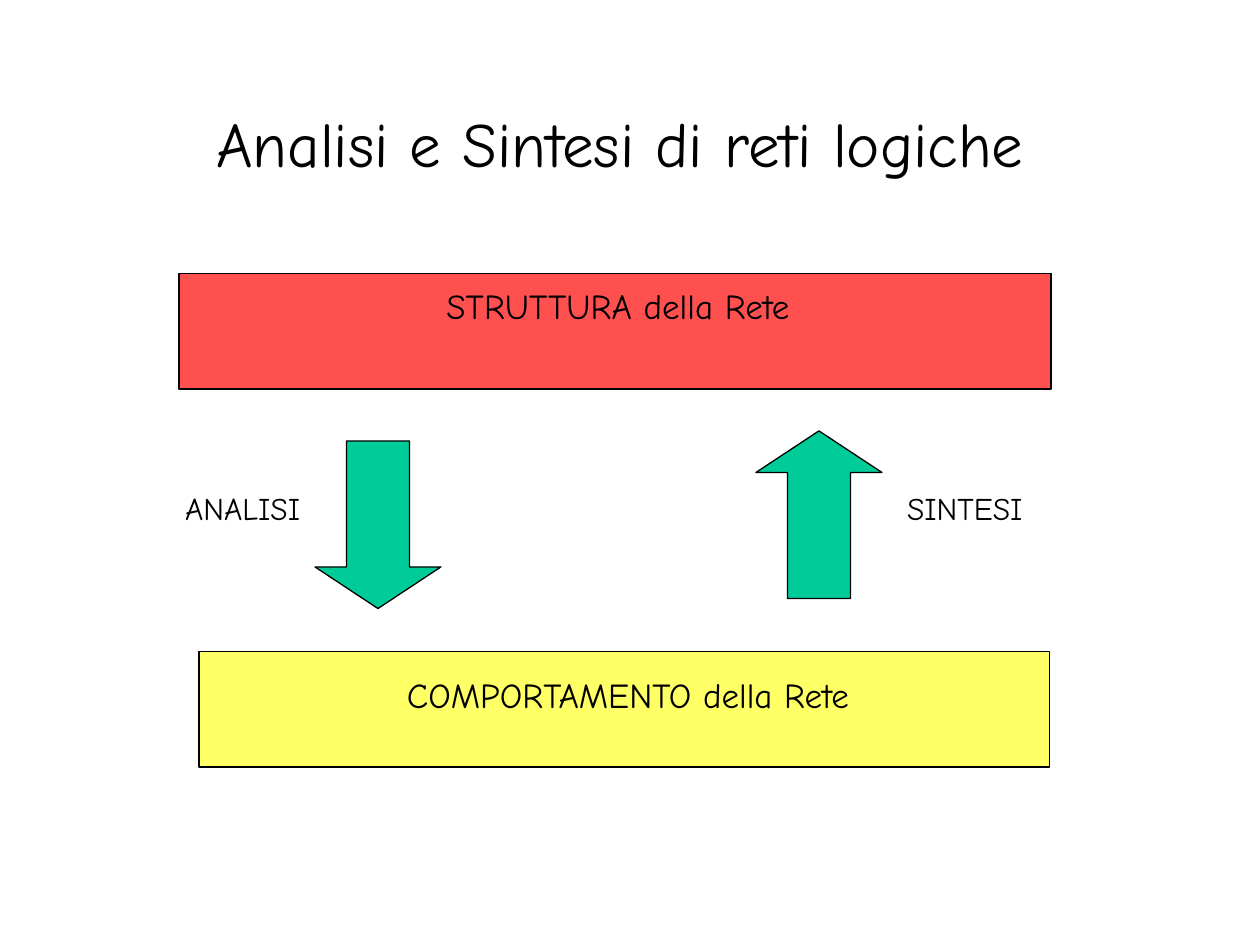
from pptx import Presentation
from pptx.dml.color import RGBColor
from pptx.enum.shapes import MSO_SHAPE
from pptx.enum.text import MSO_ANCHOR, PP_ALIGN
from pptx.util import Inches, Pt

FONT = "Comic Neue"
COLORS = {
    "black": "000000",
    "red": "FF5050",
    "yellow": "FFFF66",
    "green": "00CC99",
}


def rgb(name):
    return RGBColor.from_string(COLORS[name])


def set_text(shape, text, size, align=PP_ALIGN.CENTER, anchor=MSO_ANCHOR.TOP):
    tf = shape.text_frame
    tf.word_wrap = True
    tf.vertical_anchor = anchor
    p = tf.paragraphs[0]
    p.alignment = align
    r = p.add_run()
    r.text = text
    for name, value in {"name": FONT, "size": Pt(size)}.items():
        setattr(r.font, name, value)
    r.font.color.rgb = rgb("black")


def add_text(s, box, text, size, **layout):
    sp = s.shapes.add_textbox(*map(Inches, box))
    set_text(sp, text, size, **layout)


def add_label(s, left, text):
    add_text(s, (left, 3.83, 1.18, 0.4), text, 18, align=PP_ALIGN.LEFT)


def add_filled(s, kind, box, color, line_width=None):
    """Add a filled preset shape, outlined only when line_width is given."""
    sp = s.shapes.add_shape(kind, *map(Inches, box))
    sp.shadow.inherit = False
    sp.fill.solid()
    sp.fill.fore_color.rgb = rgb(color)
    if line_width is None:
        sp.line.fill.background()
    else:
        sp.line.color.rgb = rgb("black")
        sp.line.width = Pt(line_width)
    return sp


def add_panel(s, panel, caption, color, text):
    """Add an outlined bar with a caption strip of the same colour on it."""
    add_filled(s, MSO_SHAPE.RECTANGLE, panel, color, 1)
    strip = add_filled(s, MSO_SHAPE.RECTANGLE, caption, color)
    set_text(strip, text, 20)


def add_arrow(s, kind, left, top):
    sp = add_filled(s, kind, (left, top, 1, 1.33), "green", 0.75)
    sp.adjustments[0] = 0.5
    sp.adjustments[1] = 0.33


def main():
    prs = Presentation()
    prs.slide_width, prs.slide_height = Inches(10), Inches(7.5)
    s = prs.slides.add_slide(prs.slide_layouts[6])

    add_panel(s, (1.58, 5.17, 6.75, 0.92), (1.65, 5.3, 6.67, 0.43),
              "yellow", "COMPORTAMENTO della Rete")
    add_panel(s, (1.42, 2.17, 6.92, 0.92), (1.48, 2.21, 6.85, 0.43),
              "red", "STRUTTURA della Rete")
    add_text(s, (0.67, 0.67, 8.5, 0.92), "Analisi e Sintesi di reti logiche", 36,
             anchor=MSO_ANCHOR.MIDDLE)

    add_label(s, 1.37, "ANALISI")
    add_arrow(s, MSO_SHAPE.DOWN_ARROW, 2.5, 3.5)
    add_label(s, 7.1, "SINTESI")
    add_arrow(s, MSO_SHAPE.UP_ARROW, 6, 3.42)

    prs.save("out.pptx")


if __name__ == "__main__":
    main()
